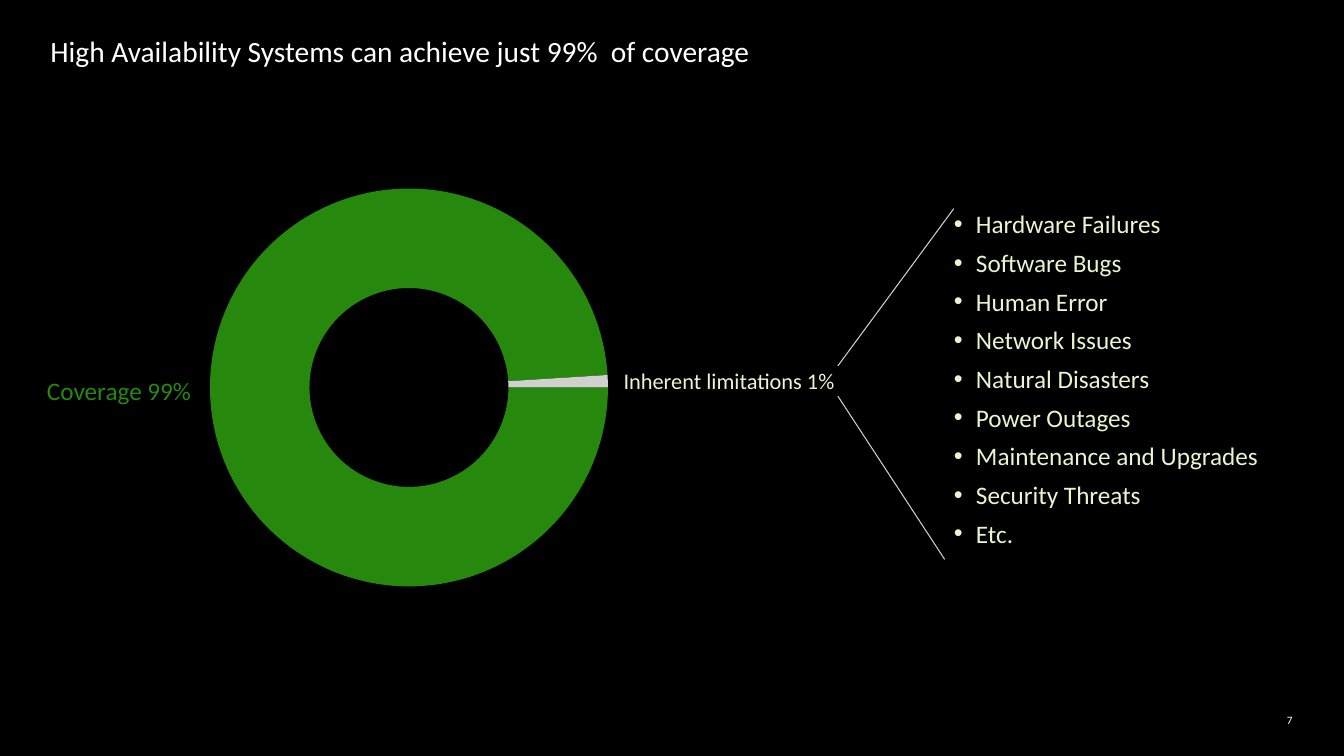
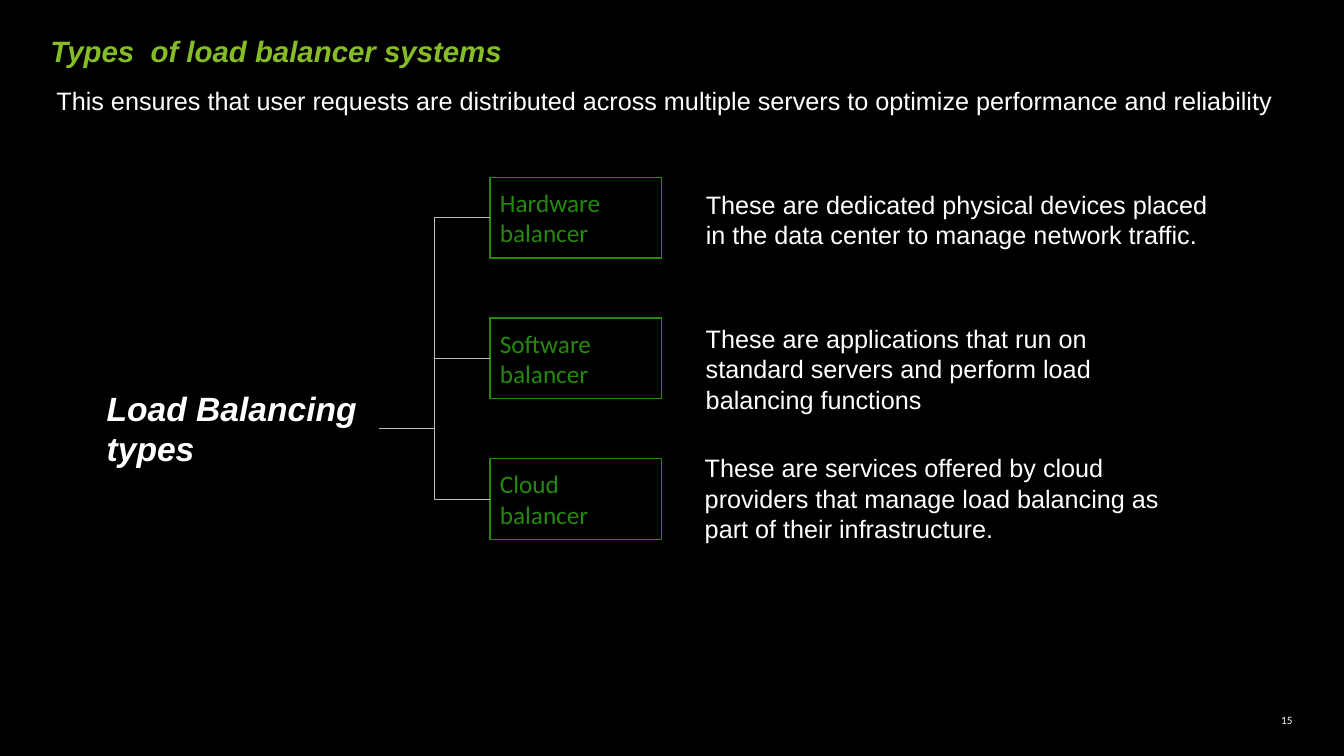
from lxml import etree
from pptx import Presentation
from pptx.chart.data import CategoryChartData
from pptx.dml.color import RGBColor
from pptx.enum.chart import XL_CHART_TYPE as ChartType
from pptx.enum.shapes import MSO_CONNECTOR as Connector, MSO_SHAPE as Shape
from pptx.enum.text import MSO_ANCHOR as Anchor, MSO_AUTO_SIZE as AutoSize, PP_ALIGN as Align
from pptx.oxml import parse_xml
from pptx.oxml.ns import nsdecls, qn
from pptx.util import Inches, Pt

BLACK, WHITE = "000000", "FFFFFF"
GREEN, LIME, PALE = "26890D", "86BC25", "E8F6CF"
GREY, LINE_GREY = "D0D0CE", "BBBCBC"

COVERAGE_TITLE = "High Availability Systems can achieve just 99%  of coverage"
COVERAGE = [("1", 99, GREEN), ("2", 1, GREY)]
PLOT_LAYOUT = {"x": 0.053, "y": 0.102, "w": 0.941, "h": 0.731}
COVERAGE_LABELS = [
    ("Coverage 99%", (-0.13, 3.72, 2.62, 0.3), 18, GREEN),
    ("Inherent limitations 1%", (5.92, 3.64, 2.62, 0.27), 16, PALE),
]
LIMITATIONS = [
    "Hardware Failures", "Software Bugs", "Human Error", "Network Issues",
    "Natural Disasters", "Power Outages", "Maintenance and Upgrades",
    "Security Threats", "Etc.",
]
CALLOUT_LINES = [(8.31, 3.63, 9.46, 2.07), (8.31, 3.93, 9.37, 5.55)]

TYPES_TITLE = "Types  of load balancer systems"
TYPES_INTRO = ("This ensures that user requests are distributed across multiple "
               "servers to optimize performance and reliability")
TYPES_ROOT = "Load Balancing types"
BALANCERS = [
    ("Hardware balancer", "These are dedicated physical devices placed in the data "
     "center to manage network traffic.", (7, 1.88, 4.98, 0.61)),
    ("Software balancer", "These are applications that run on standard servers and "
     "perform load balancing functions", (7, 3.21, 4.5, 0.91)),
    ("Cloud balancer", "These are services offered by cloud providers that manage "
     "load balancing as part of their infrastructure.", (6.99, 4.49, 4.53, 0.91)),
]
BOX_LEFT, BOX_TOP, BOX_PITCH, BOX_WIDTH, BOX_HEIGHT = 4.86, 1.76, 1.395, 1.7, 0.8


def color(value):
    return RGBColor.from_string(value)


def inches(values):
    return [Inches(value) for value in values]


def place(shape, box):
    shape.left, shape.top, shape.width, shape.height = inches(box)


def write(shape, lines, size, fill, font="Calibri", bold=False, italic=False,
          align=Align.LEFT, anchor=Anchor.TOP, inset=0, wrap=True):
    frame = shape.text_frame
    frame.text = "\n".join(lines)
    frame.word_wrap = wrap
    frame.auto_size = AutoSize.NONE
    frame.vertical_anchor = anchor
    frame.margin_left = frame.margin_right = Inches(inset)
    frame.margin_top = frame.margin_bottom = Inches(inset)
    for paragraph in frame.paragraphs:
        paragraph.alignment = align
        paragraph.font.name = font
        paragraph.font.size = Pt(size)
        paragraph.font.bold = bold
        paragraph.font.italic = italic
        paragraph.font.color.rgb = color(fill)
    return frame


def add_text(slide, text, box, size, fill, **style):
    return write(slide.shapes.add_textbox(*inches(box)), [text], size, fill, **style)


def set_indent(paragraph, margin, indent, bullet=None):
    properties = paragraph._p.get_or_add_pPr()
    properties.set("marL", str(Inches(margin)))
    properties.set("indent", str(Inches(indent)))
    if bullet:
        etree.SubElement(properties, qn("a:buFont")).set("typeface", "Arial")
        etree.SubElement(properties, qn("a:buChar")).set("char", bullet)
    else:
        etree.SubElement(properties, qn("a:buNone"))


def add_line(slide, kind, ends, stroke, width):
    line = slide.shapes.add_connector(kind, *inches(ends))
    line.line.color.rgb = color(stroke)
    line.line.width = Pt(width)
    etree.SubElement(line._element.spPr, qn("a:effectLst"))
    return line


def add_box(slide, text, box, stroke, size, fill, **style):
    shape = slide.shapes.add_shape(Shape.RECTANGLE, *inches(box))
    shape.shadow.inherit = False
    shape.fill.background()
    shape.line.color.rgb = color(stroke)
    shape.line.width = Pt(1)
    write(shape, [text], size, fill, anchor=Anchor.MIDDLE, inset=0.1, **style)
    return shape


def new_slide(presentation, title, number, fill=WHITE, **style):
    slide = presentation.slides.add_slide(presentation.slide_layouts[1])
    place(slide.shapes.title, (0.5, 0.33, 12.33, 0.38))
    write(slide.shapes.title, [title], 21, fill, **style)
    add_text(slide, number, (12.48, 7.08, 0.34, 0.13), 8, WHITE, align=Align.RIGHT)
    return slide, slide.placeholders[1]


def add_coverage_chart(slide):
    data = CategoryChartData()
    data.categories = [name for name, value, fill in COVERAGE]
    data.add_series("Series 1", [value for name, value, fill in COVERAGE])
    chart = slide.shapes.add_chart(
        ChartType.DOUGHNUT, *inches((1.68, 1.32, 4.54, 5.4)), data).chart
    chart.has_legend = chart.has_title = False
    chart.font.name, chart.font.size = "Calibri", Pt(10)
    chart.font.color.rgb = color(WHITE)
    plot = chart.plots[0]
    plot.vary_by_categories = True
    for index, (name, value, fill) in enumerate(COVERAGE):
        point = plot.series[0].points[index].format
        point.fill.solid()
        point.fill.fore_color.rgb = color(fill)
        point.line.fill.background()
    area = chart.element.xpath("c:chart/c:plotArea")[0]
    area.xpath(".//c:firstSliceAng")[0].set("val", "90")
    area.xpath(".//c:holeSize")[0].set("val", "80")
    for layout in area.xpath("c:layout"):
        area.remove(layout)
    modes = '<c:layoutTarget val="inner"/><c:xMode val="edge"/><c:yMode val="edge"/>'
    sizes = "".join(f'<c:{key} val="{value}"/>' for key, value in PLOT_LAYOUT.items())
    area.insert(0, parse_xml(f'<c:layout {nsdecls("c")}><c:manualLayout>'
                             f'{modes}{sizes}</c:manualLayout></c:layout>'))


def build_coverage(presentation):
    slide, body = new_slide(presentation, COVERAGE_TITLE, "7")
    add_coverage_chart(slide)
    for text, box, size, fill in COVERAGE_LABELS:
        add_text(slide, text, box, size, fill, align=Align.CENTER, anchor=Anchor.MIDDLE)
    for ends in CALLOUT_LINES:
        add_line(slide, Connector.STRAIGHT, ends, GREY, 0.75)
    place(body, (9.46, 2.07, 3.06, 3.4))
    for paragraph in write(body, LIMITATIONS, 18, PALE, wrap=False).paragraphs:
        paragraph.space_before = Pt(6)
        set_indent(paragraph, 0.22, -0.22, "•")


def build_types(presentation):
    slide, body = new_slide(presentation, TYPES_TITLE, "15", LIME,
                            font="Arial", bold=True, italic=True)
    place(body, (0.5, 0.85, 12.33, 0.57))
    intro = write(body, [TYPES_INTRO], 18, WHITE, font="Arial").paragraphs[0]
    intro.space_before = Pt(0)
    set_indent(intro, 0.06, 0)
    root = add_box(slide, TYPES_ROOT, (0.96, 3.85, 2.8, 0.8), BLACK, 24, WHITE,
                   font="Arial", bold=True, italic=True)
    for row, (name, description, area) in enumerate(BALANCERS):
        top = BOX_TOP + row * BOX_PITCH
        box = add_box(slide, name, (BOX_LEFT, top, BOX_WIDTH, BOX_HEIGHT),
                      GREEN, 18, GREEN)
        ends = (3.76, 4.25, BOX_LEFT, top + BOX_HEIGHT / 2)
        branch = add_line(slide, Connector.ELBOW, ends, LINE_GREY, 0.5)
        branch.begin_connect(root, 3)
        branch.end_connect(box, 1)
        add_text(slide, description, area, 18, WHITE, font="Arial")


def main():
    presentation = Presentation()
    presentation.slide_width, presentation.slide_height = inches((13.33, 7.5))
    background = presentation.slide_master.background.fill
    background.solid()
    background.fore_color.rgb = color(BLACK)
    build_coverage(presentation)
    build_types(presentation)
    presentation.save("out.pptx")


if __name__ == "__main__":
    main()
